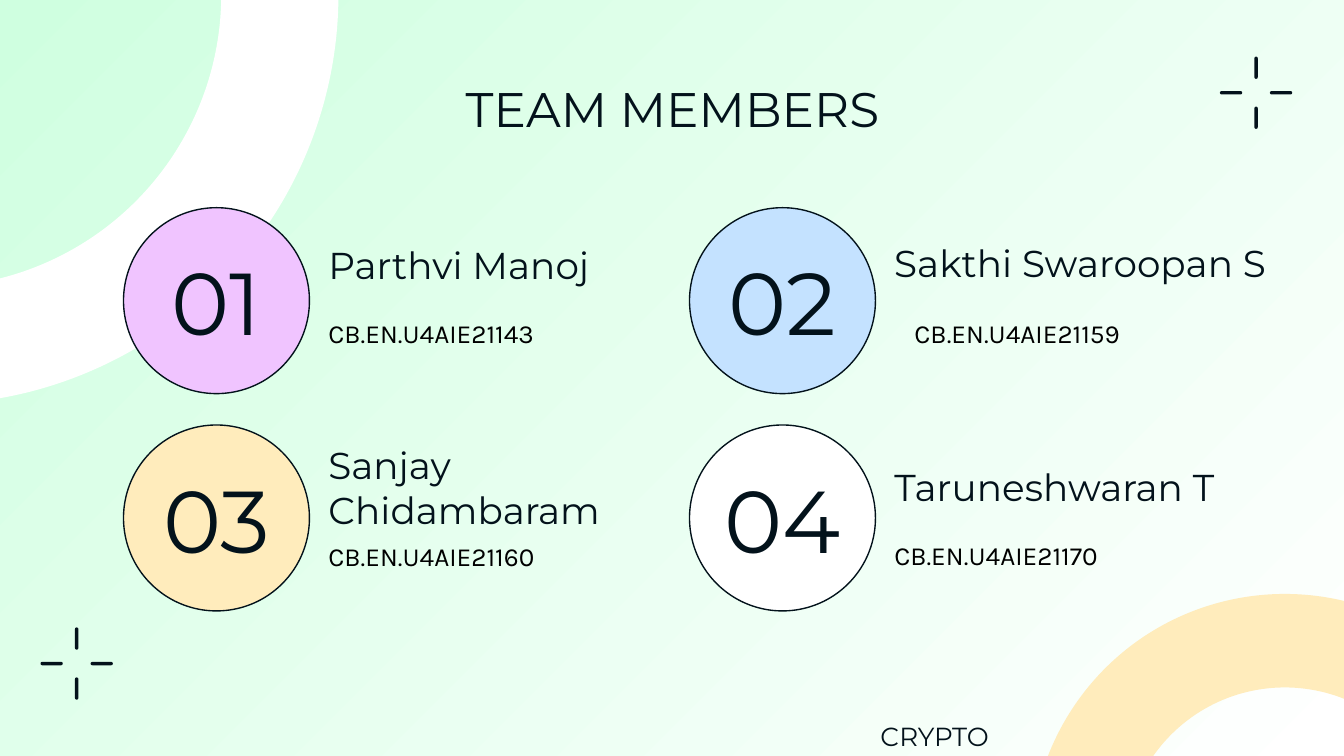
from dataclasses import dataclass

import pptx
import pptx.dml.color
import pptx.enum.shapes
import pptx.enum.text
import pptx.oxml
import pptx.oxml.ns
import pptx.util
from lxml import etree

Pt = pptx.util.Pt
RGB = pptx.dml.color.RGBColor
Shape = pptx.enum.shapes.MSO_SHAPE
Align = pptx.enum.text.PP_ALIGN
Anchor = pptx.enum.text.MSO_ANCHOR

INK = RGB(0x03, 0x12, 0x1B)
BLACK = RGB(0x00, 0x00, 0x00)
WHITE = RGB(0xFF, 0xFF, 0xFF)
MINT = RGB(0xCF, 0xFF, 0xE0)
PINK = RGB(0xF0, 0xC4, 0xFF)
BLUE = RGB(0xC4, 0xE2, 0xFF)
CREAM = RGB(0xFF, 0xEC, 0xBC)

HEADING_FONT, BODY_FONT = "Montserrat", "Karla"
CIRCLE = 99.6
COLUMNS, ROWS = (66.2, 369.4), (111.3, 227.7)
TEXT_GAP = 102.6  # from a circle's left edge to its text boxes
TEXT_HEIGHT = 41.8


@dataclass
class Member:
    name: str
    roll: str
    color: RGB
    name_top: float
    roll_top: float
    width: float = 181.4
    roll_indent: float = 0


MEMBERS = [
    Member("Parthvi Manoj", "CB.EN.U4AIE21143", PINK, 121, 157.7),
    Member("Sakthi Swaroopan S", "CB.EN.U4AIE21159", BLUE, 119.5, 157.7, 233.3, 10.8),
    Member("Sanjay Chidambaram", "CB.EN.U4AIE21160", CREAM, 239.8, 277.2),
    Member("Taruneshwaran T", "CB.EN.U4AIE21170", WHITE, 239.8, 276.5, 207.4),
]


def write(tf, text: str, size: float, font=HEADING_FONT, color=INK,
          align=Align.LEFT, anchor=Anchor.MIDDLE, inset: float = 7.2):
    """Fill a text frame with one formatted paragraph and return its run."""
    tf.text = text
    tf.word_wrap = True
    tf.auto_size = pptx.enum.text.MSO_AUTO_SIZE.NONE
    tf.vertical_anchor = anchor
    tf.margin_left = tf.margin_right = tf.margin_top = tf.margin_bottom = Pt(inset)
    p = tf.paragraphs[0]
    p.alignment = align
    r = p.runs[0]
    r.font.name, r.font.size = font, Pt(size)
    r.font.color.rgb = color
    return r


def add_text(s, x: float, y: float, w: float, h: float, text: str, size: float, **style):
    sp = s.shapes.add_textbox(Pt(x), Pt(y), Pt(w), Pt(h))
    return write(sp.text_frame, text, size, **style)


def add_shape(s, kind, x: float, y: float, w: float, h: float, fill: RGB):
    sp = s.shapes.add_shape(kind, Pt(x), Pt(y), Pt(w), Pt(h))
    sp.shadow.inherit = False
    sp.fill.solid()
    sp.fill.fore_color.rgb = fill
    sp.line.fill.background()
    return sp


def add_ring(s, x: float, y: float, size: float, fill: RGB, end: float, thickness: float) -> None:
    sp = add_shape(s, Shape.BLOCK_ARC, x, y, size, size, fill)
    for i, value in enumerate((54.589, end, thickness)):
        sp.adjustments[i] = value
    sp._element.spPr.xfrm.set("flipH", "1")


def add_crosshair(s, cx: float, cy: float) -> None:
    """Four rounded dashes around an empty centre."""
    length, thick, reach = 11.9, 1.8, 13.4
    for dx, dy in ((1, 0), (-1, 0), (0, 1), (0, -1)):
        w, h = (length, thick) if dx else (thick, length)
        sp = add_shape(s, Shape.ROUNDED_RECTANGLE, cx + dx * reach - w / 2,
                       cy + dy * reach - h / 2, w, h, INK)
        sp.adjustments[0] = 0.5


def add_member(s, index: int, m: Member) -> None:
    x, y = COLUMNS[index % 2], ROWS[index // 2]
    sp = add_shape(s, Shape.OVAL, x, y, CIRCLE, CIRCLE, m.color)
    sp.line.color.rgb = INK
    sp.line.width = Pt(0.75)
    write(sp.text_frame, f"{index + 1:02d}", 47, align=Align.CENTER, inset=0)
    left = x + TEXT_GAP
    add_text(s, left, m.name_top, m.width, TEXT_HEIGHT, m.name, 20)
    add_text(s, left + m.roll_indent, m.roll_top, 181.4, TEXT_HEIGHT, m.roll, 14,
             font=BODY_FONT, color=BLACK)


def outline_text(r, color: RGB, width: float) -> None:
    ln = pptx.oxml.parse_xml(
        f'<a:ln {pptx.oxml.ns.nsdecls("a")} w="{Pt(width)}"/>')
    fill = etree.SubElement(ln, pptx.oxml.ns.qn("a:solidFill"))
    etree.SubElement(fill, pptx.oxml.ns.qn("a:srgbClr"), val=str(color))
    r.font._element.insert(0, ln)


def main() -> None:
    prs = pptx.Presentation()
    prs.slide_width, prs.slide_height = Pt(720), Pt(405)
    s = prs.slides.add_slide(prs.slide_layouts[5])

    # Background
    bg = s.background.fill
    bg.gradient()
    bg.gradient_angle = 135
    for stop, color, position in zip(bg.gradient_stops, (WHITE, MINT), (0, 1)):
        stop.color.rgb = color
        stop.position = position

    # Corner decoration
    add_ring(s, -257.8, -222.5, 439.2, WHITE, 214.902, 0.143)
    add_ring(s, 552.2, 318.2, 272.2, CREAM, 0.642, 0.184)
    add_crosshair(s, 672.9, 49.7)
    add_crosshair(s, 41.1, 355.5)

    # Title
    title = s.shapes.title
    title.left, title.top, title.width, title.height = Pt(56.9), Pt(35.3), Pt(607), Pt(45.4)
    write(title.text_frame, "TEAM MEMBERS", 26, align=Align.CENTER, anchor=Anchor.TOP)

    # Team members
    for index, member in enumerate(MEMBERS):
        add_member(s, index, member)

    # Footer word
    r = add_text(s, 393.1, 382.3, 215.3, 36.7, "CRYPTO", 14, align=Align.CENTER,
                 anchor=Anchor.TOP, inset=3.6)
    outline_text(r, INK, 0.75)

    prs.save("out.pptx")


if __name__ == "__main__":
    main()
